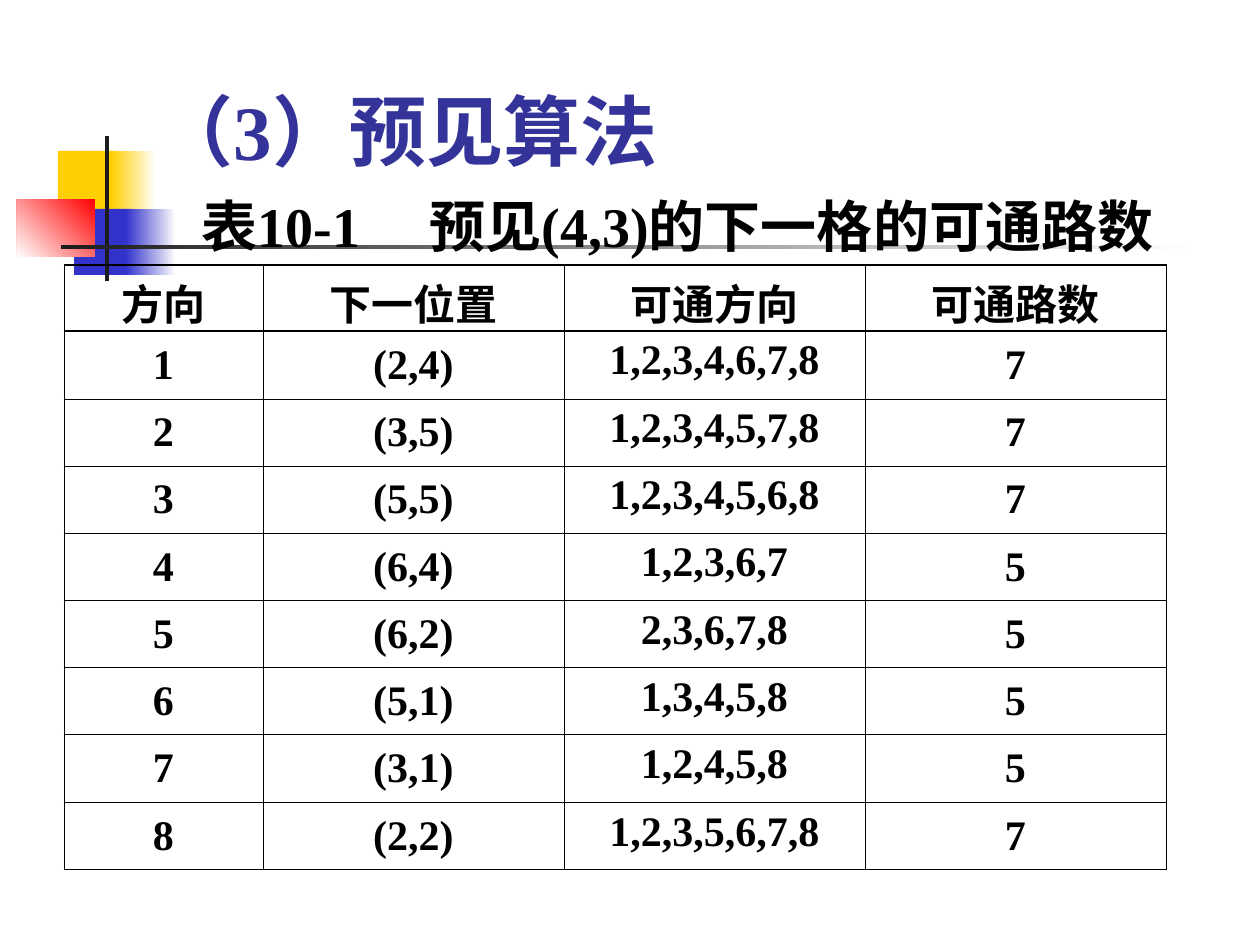
from lxml.etree import SubElement
from pptx import Presentation
from pptx.dml.color import RGBColor
from pptx.enum.shapes import MSO_SHAPE
from pptx.enum.text import MSO_ANCHOR, MSO_AUTO_SIZE, PP_ALIGN
from pptx.oxml.ns import qn
from pptx.util import Emu, Pt

FONT = "Times New Roman"
WHITE = RGBColor(0xFF, 0xFF, 0xFF)
BLACK = RGBColor(0x00, 0x00, 0x00)
YELLOW = RGBColor(0xFF, 0xCF, 0x01)
BLUE = RGBColor(0x33, 0x33, 0xCC)
RED = RGBColor(0xFF, 0x00, 0x00)
DARK = RGBColor(0x1C, 0x1C, 0x1C)
NAVY = RGBColor(0x33, 0x33, 0x99)


def px(n):
    return Emu(round(n * 914400 / 126))


def set_font(p, size, color):
    p.font.name = FONT
    p.font.size = Pt(size)
    p.font.bold = True
    p.font.color.rgb = color


prs = Presentation()
prs.slide_width, prs.slide_height = px(1260), px(945)
s = prs.slides.add_slide(prs.slide_layouts[5])

# Corner ornament: left, top, width, height, colours, gradient angle
ornament = [
    (58, 151, 60, 66, [YELLOW], None),
    (111, 151, 45, 66, [WHITE, YELLOW], 180),
    (74, 209, 58, 66, [BLUE], None),
    (126, 209, 50, 66, [WHITE, BLUE], 180),
    (17, 199, 78, 58, [RED, WHITE], 225),
    (105, 136, 4, 145, [DARK], None),
    (61, 245, 1134, 4, [WHITE, DARK], 180),
]
for x, y, w, h, colors, angle in ornament:
    sp = s.shapes.add_shape(MSO_SHAPE.RECTANGLE, px(x), px(y), px(w), px(h))
    sp.shadow.inherit = False
    sp.line.fill.background()
    if angle is None:
        sp.fill.solid()
        sp.fill.fore_color.rgb = colors[0]
    else:
        sp.fill.gradient()
        sp.fill.gradient_angle = angle
        for stop, color in zip(sp.fill.gradient_stops, colors):
            stop.color.rgb = color

# Title, in front of the ornament
title = s.shapes.title
s.shapes._spTree.append(title._element)
title.left, title.top, title.width, title.height = px(144), px(66), px(1074), px(116)
tf = title.text_frame
tf.auto_size = MSO_AUTO_SIZE.NONE
tf.vertical_anchor = MSO_ANCHOR.BOTTOM
p = tf.paragraphs[0]
p.text = "（3）预见算法"
p.alignment = PP_ALIGN.LEFT
set_font(p, 44, NAVY)

# Table caption, with a tab stop between number and wording
caption = s.shapes.add_textbox(px(189), px(185), px(1071), px(100))
tf = caption.text_frame
tf.word_wrap = True
p = tf.paragraphs[0]
p.text = "表10-1\t预见(4,3)的下一格的可通路数"
tabs = SubElement(p._p.get_or_add_pPr(), qn("a:tabLst"))
SubElement(tabs, qn("a:tab"), pos=str(px(228)), algn="l")
set_font(p, 32, BLACK)

# Table
rows = [
    ("方向", "下一位置", "可通方向", "可通路数"),
    ("1", "(2,4)", "1,2,3,4,6,7,8", "7"),
    ("2", "(3,5)", "1,2,3,4,5,7,8", "7"),
    ("3", "(5,5)", "1,2,3,4,5,6,8", "7"),
    ("4", "(6,4)", "1,2,3,6,7", "5"),
    ("5", "(6,2)", "2,3,6,7,8", "5"),
    ("6", "(5,1)", "1,3,4,5,8", "5"),
    ("7", "(3,1)", "1,2,4,5,8", "5"),
    ("8", "(2,2)", "1,2,3,5,6,7,8", "7"),
]
col_widths = [199, 301, 301, 301]
row_heights = [66, 68, 67, 67, 68, 67, 67, 68, 67]
THICK, THIN, SIDE = 0.96, 0.45, 0.34
last_row, last_col = len(rows) - 1, len(col_widths) - 1

table = s.shapes.add_table(len(rows), len(col_widths), px(64), px(265),
                           px(sum(col_widths)), px(sum(row_heights))).table
table.first_row = table.horz_banding = False
for col, width in zip(table.columns, col_widths):
    col.width = px(width)
for row, height in zip(table.rows, row_heights):
    row.height = px(height)

for i, texts in enumerate(rows):
    for j, text in enumerate(texts):
        cell = table.cell(i, j)
        cell.vertical_anchor = MSO_ANCHOR.TOP if j == 2 else MSO_ANCHOR.MIDDLE
        p = cell.text_frame.paragraphs[0]
        p.text = text
        p.alignment = PP_ALIGN.CENTER
        set_font(p, 24, BLACK)
        borders = {
            "a:lnL": SIDE if j == 0 else THIN,
            "a:lnR": SIDE if j == last_col else THIN,
            "a:lnT": THICK if i <= 1 else THIN,
            "a:lnB": THICK if i in (0, last_row) else THIN,
        }
        for tag, width in borders.items():
            ln = SubElement(cell._tc.get_or_add_tcPr(), qn(tag), w=str(Pt(width)))
            fill = SubElement(ln, qn("a:solidFill"))
            SubElement(fill, qn("a:srgbClr"), val=str(BLACK))
        cell.fill.background()

prs.save("out.pptx")
